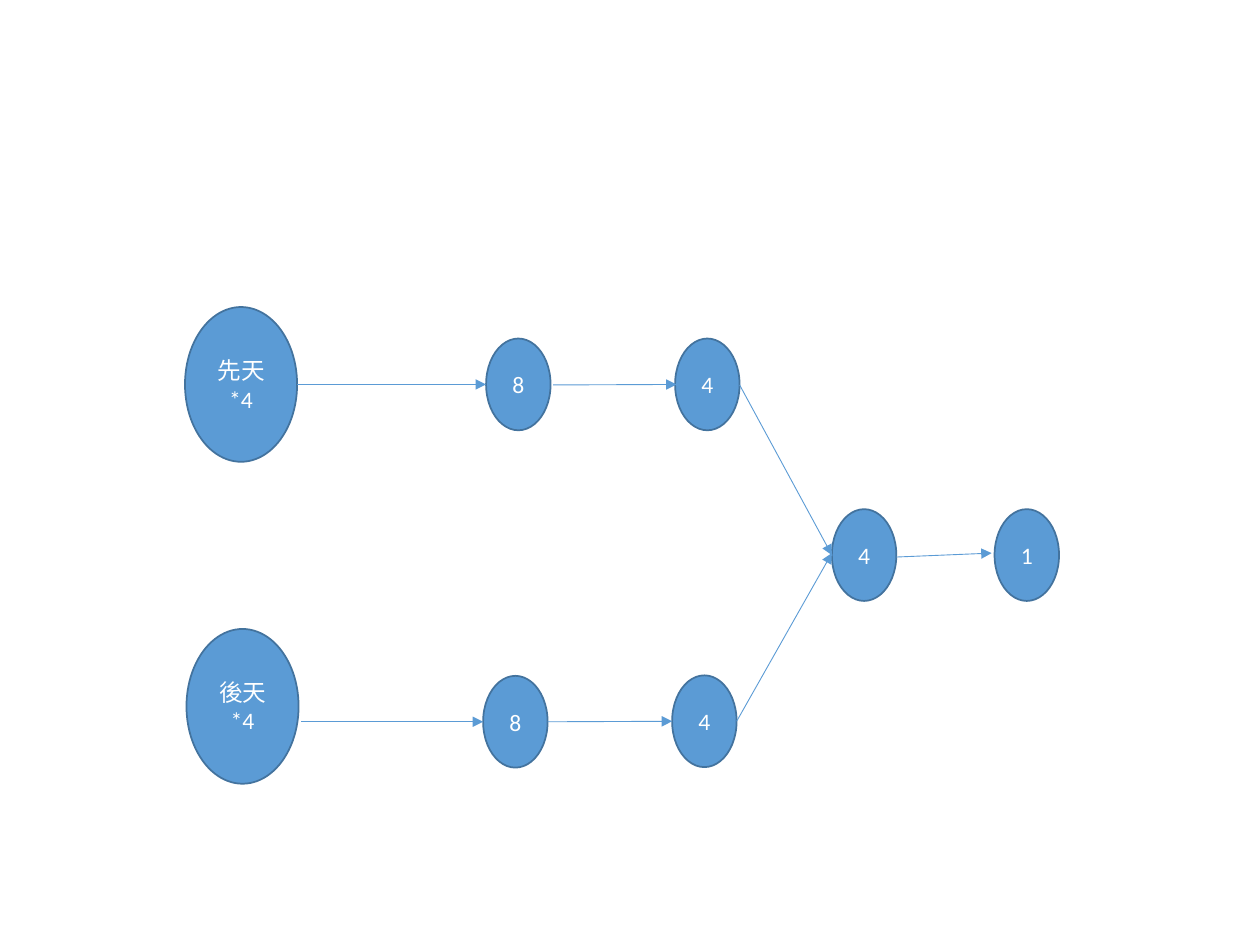
from lxml.etree import SubElement
from pptx import Presentation
from pptx.dml.color import RGBColor
from pptx.enum.shapes import MSO_CONNECTOR, MSO_SHAPE
from pptx.enum.text import MSO_ANCHOR, PP_ALIGN
from pptx.oxml.ns import qn
from pptx.util import Cm, Pt

BLUE = RGBColor(0x5B, 0x9B, 0xD5)
DARK_BLUE = RGBColor(0x43, 0x73, 0x9E)
WHITE = RGBColor(0xFF, 0xFF, 0xFF)

# Lengths in centimetres
LARGE, SMALL = (2.26, 3.12), (1.3, 1.85)
PADDED, TIGHT = (0.18, 0.1), (0, 0)

# name: (text, centre x, centre y, size, text margins)
NODES = {
    "innate": ("先天*4", 4.86, 7.75, LARGE, PADDED),
    "acquired": ("後天*4", 4.89, 14.24, LARGE, PADDED),
    "innate 8": ("8", 10.45, 7.75, SMALL, PADDED),
    "acquired 8": ("8", 10.39, 14.55, SMALL, PADDED),
    "innate 4": ("4", 14.26, 7.75, SMALL, TIGHT),
    "acquired 4": ("4", 14.2, 14.54, SMALL, TIGHT),
    "merged 4": ("4", 17.42, 11.19, SMALL, TIGHT),
    "result": ("1", 20.7, 11.19, SMALL, TIGHT),
}

# (from, to, shift of the start, shift of the end)
ARROWS = [
    ("innate", "innate 8", (0, 0), (0, 0)),
    ("acquired", "acquired 8", (0.05, 0.31), (0, 0)),
    ("innate 8", "innate 4", (0.05, 0.01), (0.03, 0)),
    ("acquired 8", "acquired 4", (0, 0), (0, 0)),
    ("innate 4", "merged 4", (0, 0.01), (0, 0)),
    ("acquired 4", "merged 4", (0, 0), (0, -0.04)),
    ("merged 4", "result", (0, 0.04), (-0.06, -0.04)),
]


def add_node(slide, text, x, y, size, margins):
    """Draw one labelled ellipse around its centre."""
    width, height = size
    shape = slide.shapes.add_shape(
        MSO_SHAPE.OVAL, Cm(x - width / 2), Cm(y - height / 2), Cm(width), Cm(height))
    shape.shadow.inherit = False
    shape.fill.solid()
    shape.fill.fore_color.rgb = BLUE
    shape.line.color.rgb = DARK_BLUE
    shape.line.width = Pt(1)
    frame = shape.text_frame
    frame.word_wrap = True
    frame.vertical_anchor = MSO_ANCHOR.MIDDLE
    frame.margin_left = frame.margin_right = Cm(margins[0])
    frame.margin_top = frame.margin_bottom = Cm(margins[1])
    paragraph = frame.paragraphs[0]
    paragraph.text = text
    paragraph.alignment = PP_ALIGN.CENTER
    paragraph.font.name = "Calibri"
    paragraph.font.size = Pt(13.5)
    paragraph.font.color.rgb = WHITE


def side_point(name, side, shift):
    """Return the shifted left (-1) or right (1) edge point of a node."""
    _, x, y, (width, _), _ = NODES[name]
    return Cm(x + side * width / 2 + shift[0]), Cm(y + shift[1])


def add_arrow(slide, source, target, start_shift, end_shift):
    """Draw an arrow from the right of one node to the left of another."""
    connector = slide.shapes.add_connector(
        MSO_CONNECTOR.STRAIGHT,
        *side_point(source, 1, start_shift), *side_point(target, -1, end_shift))
    connector.line.color.rgb = BLUE
    connector.line.width = Pt(0.5)
    SubElement(connector.get_or_add_ln(), qn("a:tailEnd"), type="triangle")
    SubElement(connector._element.spPr, qn("a:effectLst"))


presentation = Presentation()
presentation.slide_width, presentation.slide_height = Cm(25.4), Cm(19.05)
slide = presentation.slides.add_slide(presentation.slide_layouts[6])
for node in NODES.values():
    add_node(slide, *node)
for arrow in ARROWS:
    add_arrow(slide, *arrow)
presentation.save("out.pptx")
